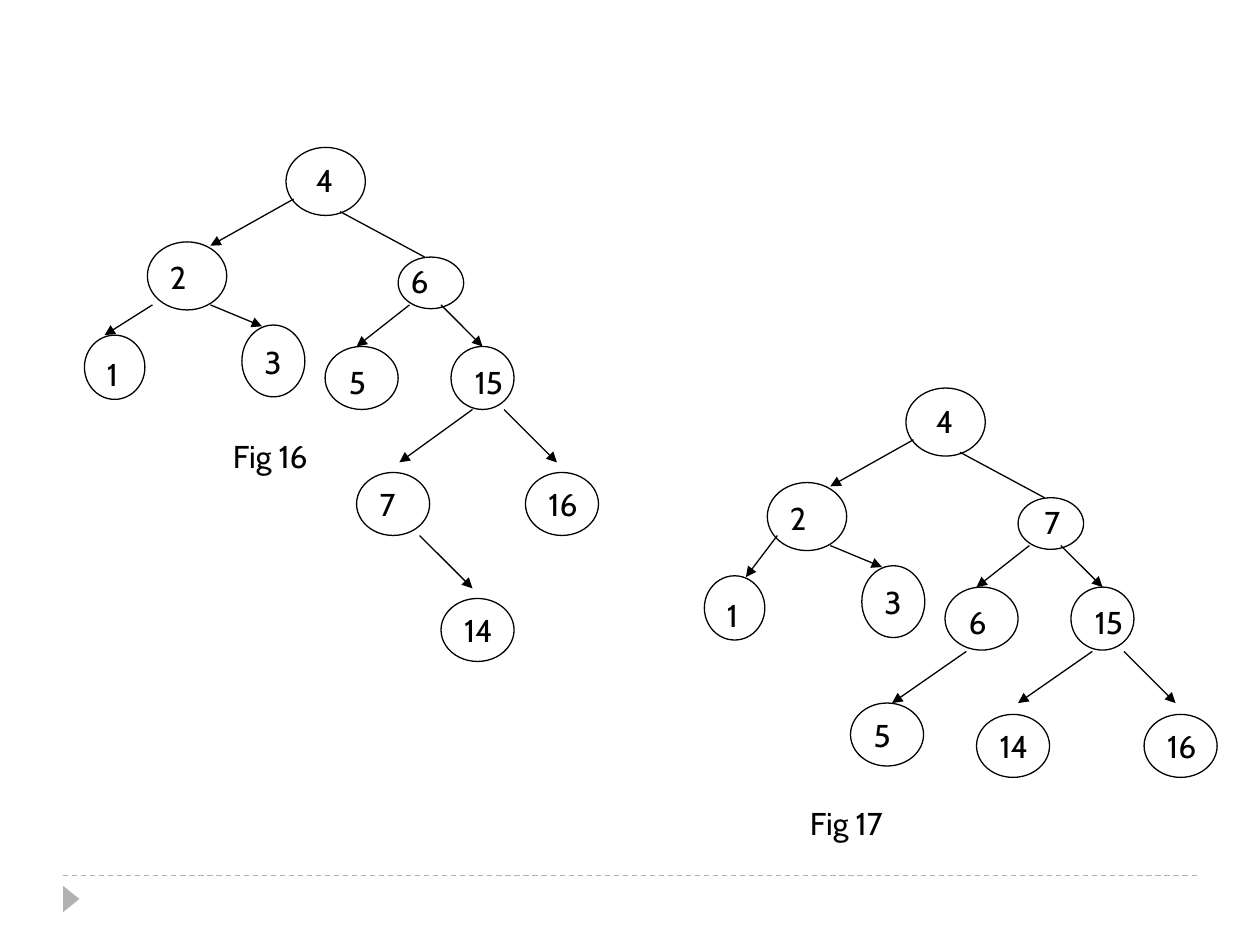
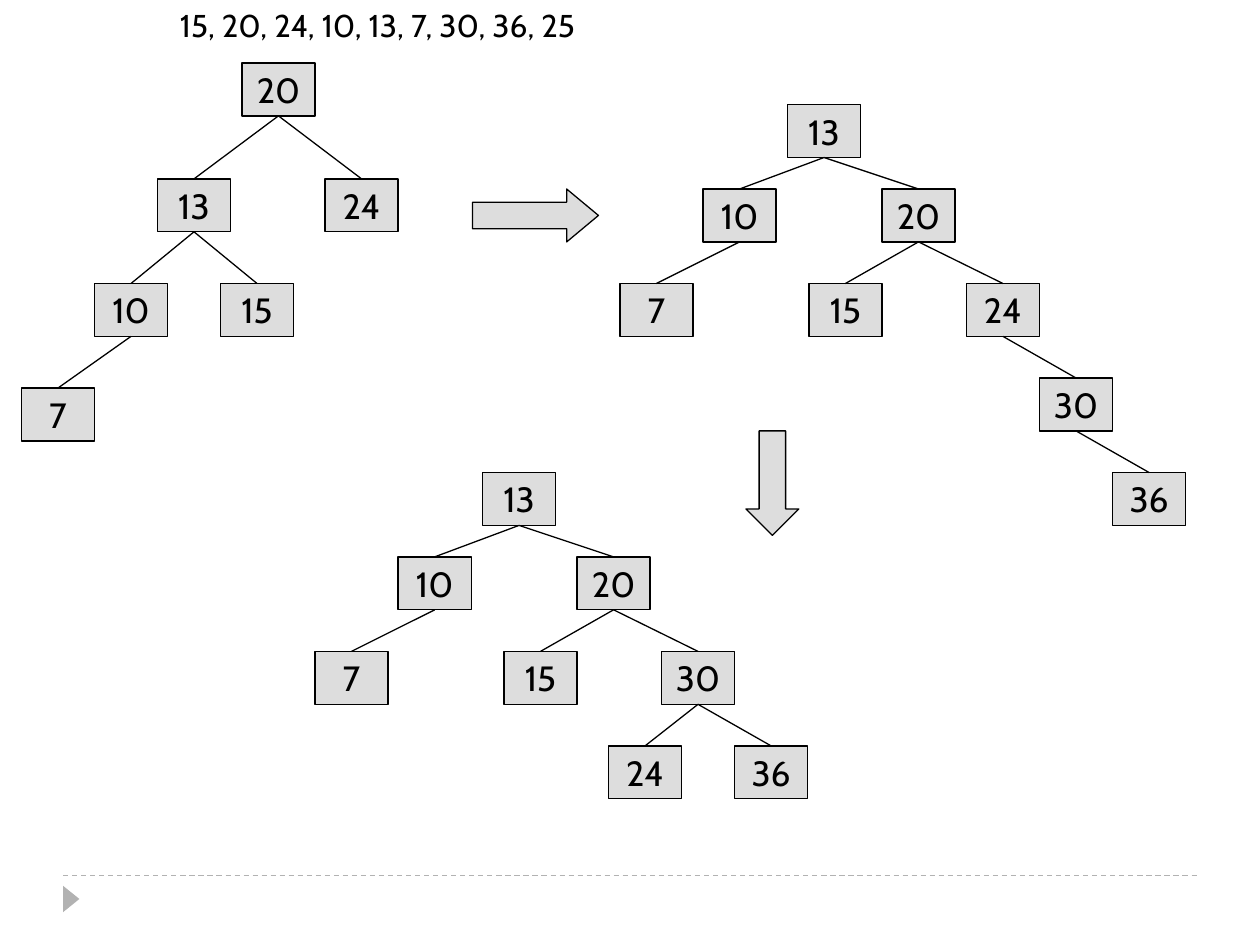
from pptx import Presentation
from pptx.dml.color import RGBColor
from pptx.enum.dml import MSO_LINE
from pptx.enum.shapes import MSO_CONNECTOR, MSO_SHAPE
from pptx.enum.text import MSO_ANCHOR, MSO_AUTO_SIZE, PP_ALIGN
from pptx.oxml.ns import qn
from pptx.util import Inches, Pt
from lxml import etree

COLORS = {"ink": "000000", "node": "DDDDDD", "footer": "B2B2B2"}
FONT = "Cabin"


def add_item(slide, kind, left, top, width, height, text="", size=18,
             fill=None, line="ink", align=PP_ALIGN.LEFT):
    """Add a preset shape, or a text box when kind is None."""
    box = [Inches(value) for value in (left, top, width, height)]
    if kind is None:
        shape = slide.shapes.add_textbox(*box)
        shape.text_frame.auto_size = MSO_AUTO_SIZE.SHAPE_TO_FIT_TEXT
    else:
        shape = slide.shapes.add_shape(kind, *box)
        shape.shadow.inherit = False
        if fill:
            shape.fill.solid()
            shape.fill.fore_color.rgb = RGBColor.from_string(COLORS[fill])
        else:
            shape.fill.background()
        if line:
            shape.line.color.rgb = RGBColor.from_string(COLORS[line])
            shape.line.width = Pt(0.75)
        else:
            shape.line.fill.background()
        shape.text_frame.vertical_anchor = MSO_ANCHOR.MIDDLE
    if text:
        shape.text_frame.word_wrap = kind is None
        paragraph = shape.text_frame.paragraphs[0]
        paragraph.text = text
        paragraph.alignment = align
        font = paragraph.runs[0].font
        font.name = FONT
        font.size = Pt(size)
        font.color.rgb = RGBColor.from_string(COLORS["ink"])
    return shape


def add_line(slide, x1, y1, x2, y2, color="ink", arrow=False):
    connector = slide.shapes.add_connector(
        MSO_CONNECTOR.STRAIGHT, Inches(x1), Inches(y1), Inches(x2), Inches(y2))
    connector.line.color.rgb = RGBColor.from_string(COLORS[color])
    connector.line.width = Pt(0.75)
    if arrow:
        etree.SubElement(connector.line._get_or_add_ln(), qn("a:tailEnd"), type="triangle")
    etree.SubElement(connector._element.spPr, qn("a:effectLst"))
    return connector


presentation = Presentation()
presentation.slide_width = Inches(10)
presentation.slide_height = Inches(7.5)

# Two slides with the same footer
slides = [presentation.slides.add_slide(presentation.slide_layouts[6]) for _ in range(2)]
for slide in slides:
    footer_rule = add_line(slide, 0.5, 6.95, 9.5, 6.95, "footer")
    footer_rule.line.dash_style = MSO_LINE.DASH
    marker = add_item(slide, MSO_SHAPE.ISOSCELES_TRIANGLE, 0.46, 7.07, 0.21, 0.13,
                      fill="footer", line=None)
    marker.rotation = 90
figure_slide, rotation_slide = slides

# Slide 1: upper part of both figures, as ellipse, then label left, top and width
UPPER_NODES = {
    "root": ((2.27, 1.17, 0.63, 0.54), (2.41, 1.23, 1.13)),
    "left": ((1.17, 1.92, 0.63, 0.54), (1.25, 2, 0.7)),
    "right": ((3.16, 2.04, 0.52, 0.41), (3.16, 2.03, 0.52)),
    "left left": ((0.67, 2.66, 0.48, 0.51), (0.75, 2.77, 0.54)),
    "left right": ((1.92, 2.58, 0.5, 0.57), (2, 2.67, 0.42)),
    "right left": ((2.58, 2.75, 0.58, 0.5), (2.67, 2.83, 0.83)),
    "right right": ((3.58, 2.75, 0.5, 0.5), (3.67, 2.83, 0.58)),
}
UPPER_ARROWS = [
    (2.33, 1.58, 1.67, 1.95), (1.67, 2.42, 2.08, 2.59),
    (3.5, 2.42, 3.83, 2.75), (3.25, 2.42, 2.83, 2.75),
]
FIGURES = [
    {
        "offset": (0, 0), "labels": ["4", "2", "6", "1", "3", "5", "15"],
        "right label shift": 0,
        "caption": ("Fig 16", 1.75, 3.42),
        "lower nodes": [("16", 4.17, 3.75), ("7", 2.83, 3.75), ("14", 3.5, 4.75)],
        "lower arrows": [(1.21, 2.42, 0.83, 2.66), (4, 3.25, 4.42, 3.67),
                         (3.75, 3.25, 3.17, 3.67), (3.33, 4.25, 3.75, 4.67)],
    },
    {
        "offset": (4.92, 1.91), "labels": ["4", "2", "7", "1", "3", "6", "15"],
        "right label shift": 0.11,
        "caption": ("Fig 17", 6.33, 6.33),
        "lower nodes": [("16", 9.08, 5.67), ("14", 7.75, 5.67), ("5", 6.75, 5.58)],
        "lower arrows": [(6.17, 4.25, 5.92, 4.58), (8.92, 5.17, 9.33, 5.58),
                         (8.67, 5.17, 8.08, 5.58), (7.67, 5.17, 7.08, 5.58)],
    },
]
for figure in FIGURES:
    dx, dy = figure["offset"]
    for (place, (ellipse, label)), text in zip(UPPER_NODES.items(), figure["labels"]):
        left, top, width, height = ellipse
        add_item(figure_slide, MSO_SHAPE.OVAL, left + dx, top + dy, width, height)
        left, top, width = label
        shift = figure["right label shift"] if place == "right" else 0
        add_item(figure_slide, None, left + dx + shift, top + dy, width, 0.4, text)
    for x1, y1, x2, y2 in UPPER_ARROWS:
        add_line(figure_slide, x1 + dx, y1 + dy, x2 + dx, y2 + dy, arrow=True)
    add_line(figure_slide, 2.7 + dx, 1.68 + dy, 3.37 + dx, 2.04 + dy)
    for text, left, top in figure["lower nodes"]:
        add_item(figure_slide, MSO_SHAPE.OVAL, left, top, 0.58, 0.5, text)
    for ends in figure["lower arrows"]:
        add_line(figure_slide, *ends, arrow=True)
    caption, left, top = figure["caption"]
    add_item(figure_slide, None, left, top, 1.25, 0.4, caption)

# Slide 2: inserted keys
keys = add_item(rotation_slide, None, 0.83, 0, 8.17, 0.4, "15, 20, 24, 10, 13, 7, 30, 36, 25")
keys.text_frame.paragraphs[0]._p.get_or_add_pPr().set("marL", str(Inches(0.5)))

# Search trees: key, parent, left, top; the last two start with the same nodes
SHARED_NODES = [("13", None, 6.25, 0.83), ("10", "13", 5.58, 1.5), ("20", "13", 7, 1.5),
                ("7", "10", 4.92, 2.25), ("15", "20", 6.42, 2.25)]
TREES = [
    [("20", None, 1.92, 0.5), ("13", "20", 1.25, 1.42), ("24", "20", 2.58, 1.42),
     ("10", "13", 0.75, 2.25), ("15", "13", 1.75, 2.25), ("7", "10", 0.17, 3.08)],
    SHARED_NODES + [("24", "20", 7.67, 2.25), ("30", "24", 8.25, 3), ("36", "30", 8.83, 3.75)],
    [(key, parent, left - 2.42, top + 2.92) for key, parent, left, top in SHARED_NODES]
    + [("30", "20", 5.25, 5.17), ("24", "30", 4.83, 5.92), ("36", "30", 5.83, 5.92)],
]
for tree in TREES:
    boxes = {}
    for key, parent, left, top in tree:
        boxes[key] = add_item(rotation_slide, MSO_SHAPE.RECTANGLE, left, top, 0.58, 0.42,
                              key, 20, "node", align=PP_ALIGN.CENTER)
        if parent:
            edge = add_line(rotation_slide, 0, 0, 1, 1)
            edge.begin_connect(boxes[parent], 2)
            edge.end_connect(boxes[key], 0)

# Block arrows between the trees
right_arrow = add_item(rotation_slide, MSO_SHAPE.RIGHT_ARROW, 3.75, 1.5, 1, 0.42, fill="node")
right_arrow.adjustments[1] = 0.6
add_item(rotation_slide, MSO_SHAPE.DOWN_ARROW, 5.92, 3.42, 0.42, 0.83, fill="node")

presentation.save("out.pptx")
